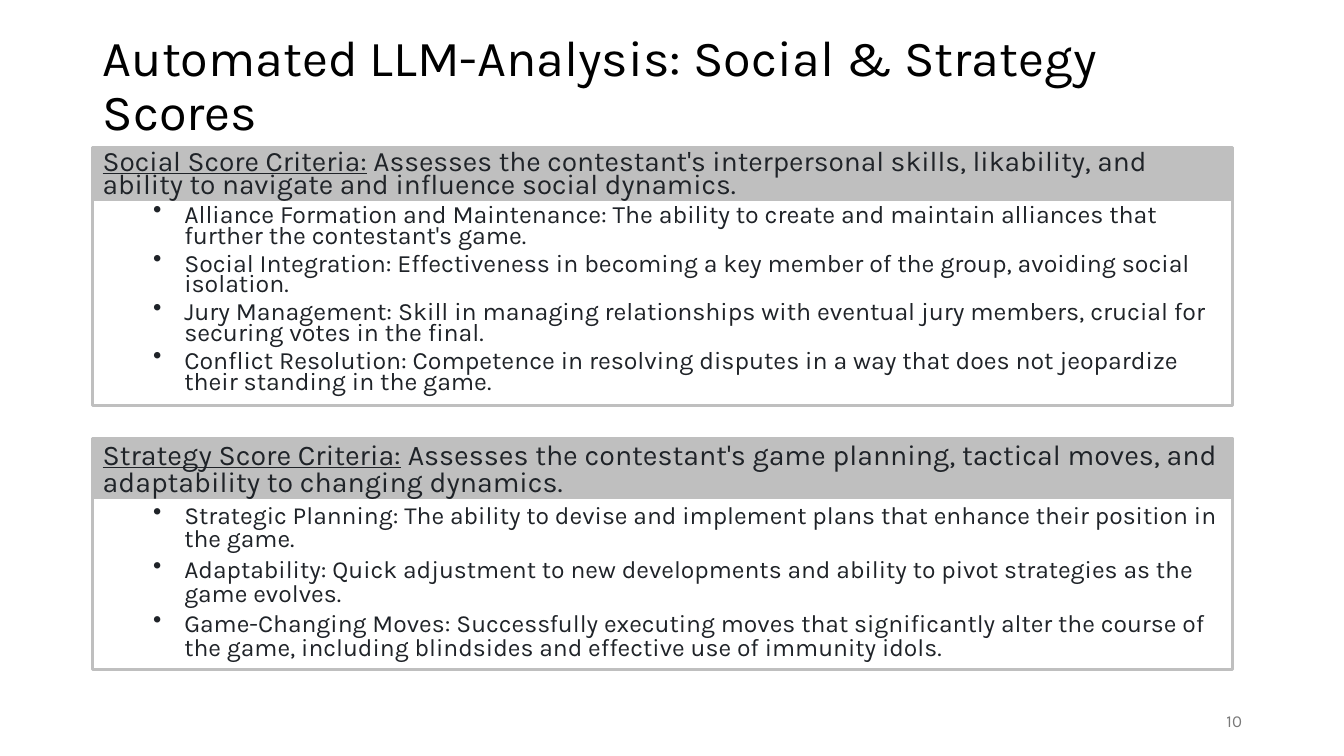
"""Build a slide that lists the social and strategy score criteria."""
from lxml.etree import SubElement
from pptx import Presentation
from pptx.dml.color import RGBColor
from pptx.enum.shapes import MSO_SHAPE
from pptx.enum.text import MSO_ANCHOR, PP_ALIGN
from pptx.oxml.ns import qn
from pptx.util import Pt

COLORS = {"title": "000000", "body": "1F2328", "band": "BFBFBF", "number": "797979"}
FONT = "Karla"
LEFT, WIDTH = 66.24, 814.32
BULLET_MARGIN, BULLET_HANG = 58.32, 22.32

SOCIAL = (
    "Social Score Criteria:",
    " Assesses the contestant's interpersonal skills, likability, and ability to "
    "navigate and influence social dynamics.",
    [
        "Alliance Formation and Maintenance: The ability to create and maintain "
        "alliances that further the contestant's game.",
        "Social Integration: Effectiveness in becoming a key member of the group, "
        "avoiding social isolation.",
        "Jury Management: Skill in managing relationships with eventual jury members, "
        "crucial for securing votes in the final.",
        "Conflict Resolution: Competence in resolving disputes in a way that does not "
        "jeopardize their standing in the game.",
    ],
)
STRATEGY = (
    "Strategy Score Criteria:",
    " Assesses the contestant's game planning, tactical moves, and adaptability to "
    "changing dynamics.",
    [
        "Strategic Planning: The ability to devise and implement plans that enhance "
        "their position in the game.",
        "Adaptability: Quick adjustment to new developments and ability to pivot "
        "strategies as the game evolves.",
        "Game-Changing Moves: Successfully executing moves that significantly alter the "
        "course of the game, including blindsides and effective use of immunity idols.",
    ],
)


def color(name):
    return RGBColor.from_string(COLORS[name])


def style_paragraph(paragraph, size, color_name, line_spacing=1.0, space_before=0):
    paragraph.line_spacing = line_spacing
    paragraph.space_before = Pt(space_before)
    paragraph.font.name = FONT
    paragraph.font.size = Pt(size)
    paragraph.font.color.rgb = color(color_name)


def add_label(slide, text, box, size, color_name, line_spacing=1.0, align=PP_ALIGN.LEFT):
    frame = slide.shapes.add_textbox(*map(Pt, box)).text_frame
    frame.word_wrap = True
    frame.vertical_anchor = MSO_ANCHOR.MIDDLE
    paragraph = frame.paragraphs[0]
    paragraph.text = text
    paragraph.alignment = align
    style_paragraph(paragraph, size, color_name, line_spacing)


def add_rectangle(slide, top, height, line_width, filled):
    shape = slide.shapes.add_shape(
        MSO_SHAPE.RECTANGLE, Pt(LEFT), Pt(top), Pt(WIDTH), Pt(height))
    shape.shadow.inherit = False
    if filled:
        shape.fill.solid()
        shape.fill.fore_color.rgb = color("band")
    else:
        shape.fill.background()
    shape.line.color.rgb = color("band")
    shape.line.width = Pt(line_width)
    return shape


def add_bullet(paragraph):
    paragraph.level = 1
    properties = paragraph._p.get_or_add_pPr()
    properties.set("marL", str(Pt(BULLET_MARGIN)))
    properties.set("indent", str(-Pt(BULLET_HANG)))
    SubElement(properties, qn("a:buChar")).set("char", "•")


def add_criteria(slide, criteria, top, height, heading_size, bullet_size, line_spacing):
    heading, summary, bullets = criteria
    frame = add_rectangle(slide, top, height, 2.25, filled=False).text_frame
    frame.word_wrap = True
    frame.vertical_anchor = MSO_ANCHOR.TOP
    paragraph = frame.paragraphs[0]
    paragraph.alignment = PP_ALIGN.LEFT
    heading_run = paragraph.add_run()
    heading_run.text = heading
    heading_run.font.underline = True
    paragraph.add_run().text = summary
    style_paragraph(paragraph, heading_size, "body", line_spacing, 10)
    for bullet in bullets:
        paragraph = frame.add_paragraph()
        paragraph.text = bullet
        paragraph.alignment = PP_ALIGN.LEFT
        add_bullet(paragraph)
        style_paragraph(paragraph, bullet_size, "body", line_spacing, 5)


def main():
    presentation = Presentation()
    presentation.slide_width, presentation.slide_height = Pt(960), Pt(540)
    slide = presentation.slides.add_slide(presentation.slide_layouts[6])
    add_rectangle(slide, 313.2, 42.48, 1.5, filled=True)
    add_rectangle(slide, 105.84, 36.72, 1.5, filled=True)
    add_label(slide, "Automated LLM-Analysis: Social & Strategy Scores",
              (LEFT, 22.32, 828, 79.92), 36, "title", line_spacing=0.9)
    add_criteria(slide, SOCIAL, 105.12, 184.32, 20.1, 17.8, 0.7)
    add_label(slide, "10", (678.24, 500.4, 216, 28.8), 12, "number", align=PP_ALIGN.RIGHT)
    add_criteria(slide, STRATEGY, 313.2, 164.88, 20.4, 17.6, 0.8)
    presentation.save("out.pptx")


if __name__ == "__main__":
    main()
